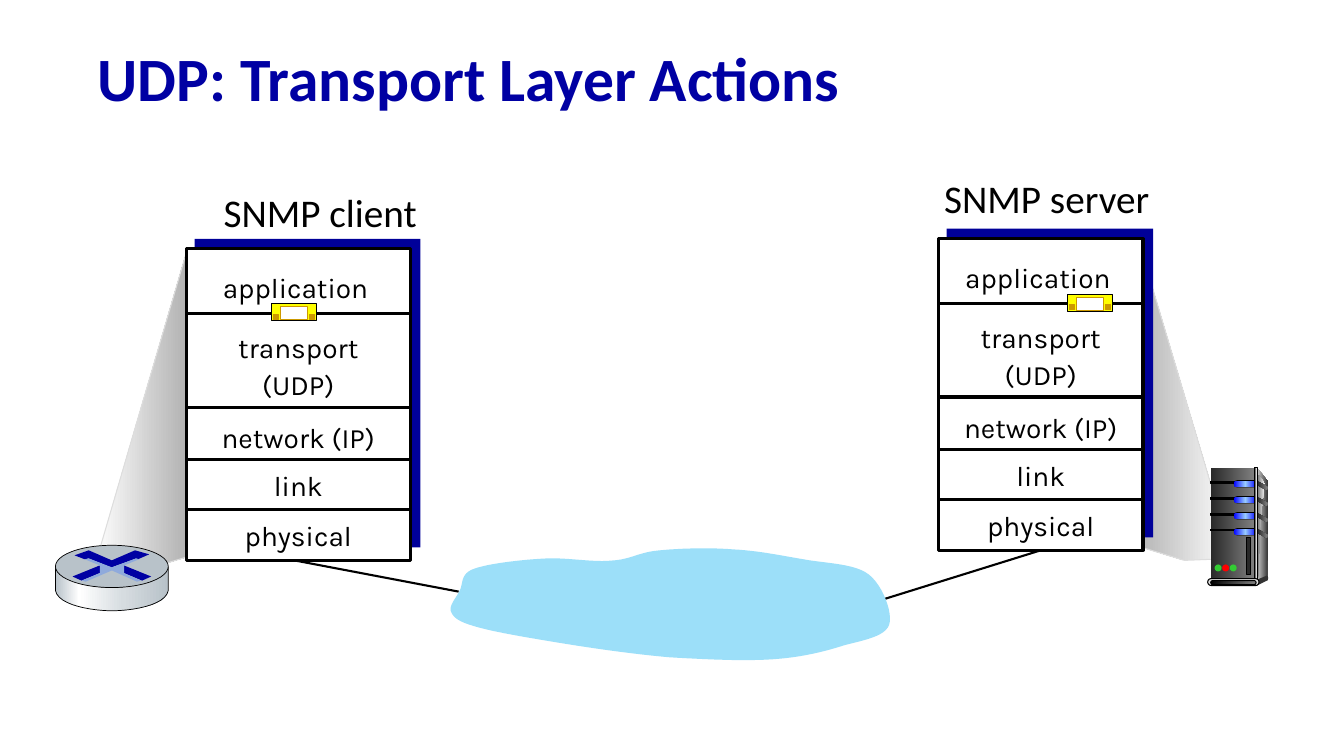
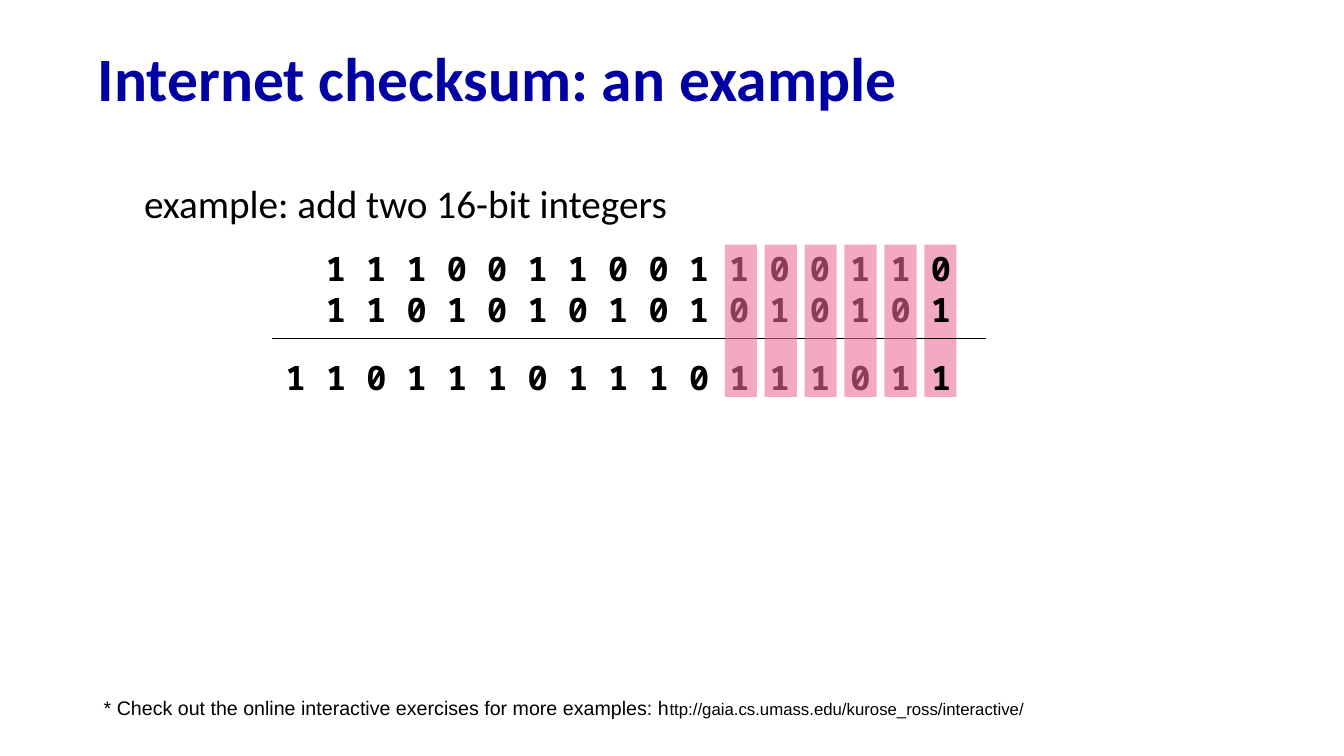
from lxml import etree
from pptx import Presentation
from pptx import util as u
from pptx.dml.color import RGBColor
from pptx.enum import shapes as kinds, text as t
from pptx.oxml.ns import qn

Pt = u.Pt
BLACK = RGBColor(0x00, 0x00, 0x00)
WHITE = RGBColor(0xFF, 0xFF, 0xFF)
TITLE_BLUE = RGBColor(0x00, 0x00, 0xA3)
SHADE_BLUE = RGBColor(0x00, 0x00, 0x99)
CLOUD_BLUE = RGBColor(0x9C, 0xDF, 0xF9)
CROSS_BLUE = RGBColor(0x8F, 0xAA, 0xDC)
LAMP_BLUE = RGBColor(0x00, 0x00, 0xFF)
LAMP_LIGHT = RGBColor(0x99, 0xCC, 0xFF)
STEEL = RGBColor(0xB8, 0xC2, 0xC9)
STEEL_LIGHT = RGBColor(0xD6, 0xDC, 0xE0)
COAL = RGBColor(0x29, 0x29, 0x29)
DARK_GREY = RGBColor(0x33, 0x33, 0x33)
MID_GREY = RGBColor(0x80, 0x80, 0x80)
CONE_GREY = RGBColor(0xB2, 0xB2, 0xB2)
PALE_GREY = RGBColor(0xDD, 0xDD, 0xDD)
NEAR_WHITE = RGBColor(0xF8, 0xF8, 0xF8)
GREEN = RGBColor(0x33, 0xCC, 0x33)
RED = RGBColor(0xFF, 0x00, 0x00)
YELLOW = RGBColor(0xFF, 0xFF, 0x00)
OCHRE = RGBColor(0xCC, 0x99, 0x00)
PINK = RGBColor(0xEB, 0x6B, 0x94)

RECT = kinds.MSO_SHAPE.RECTANGLE
PILL = kinds.MSO_SHAPE.ROUNDED_RECTANGLE
OVAL = kinds.MSO_SHAPE.OVAL
LEFT, CENTER = t.PP_ALIGN.LEFT, t.PP_ALIGN.CENTER

METAL = [(0, COAL), (100, MID_GREY)]
LAMP = [(0, LAMP_BLUE), (50, LAMP_LIGHT), (100, LAMP_BLUE)]

# Layer names: (text, top inside the stack, shift from its middle)
LAYERS = [("application", 9.4, -2), ("transport\n(UDP)", 52.5, 0),
          ("network (IP)", 116.5, 0), ("link", 151, 0), ("physical", 186.5, 0)]
LAYER_RULES = [46, 113, 150.2, 186]

CLOUD = [
    (150.5, 2.2), (136, 3.6, 131, 8.6, 117.4, 9.4), (103.7, 10.8, 86.4, 7.2, 70.6, 7.9),
    (54, 8.6, 29.5, 11.5, 19.4, 15.1), (8.6, 18.7, 11.5, 25.9, 8.6, 31),
    (5.8, 36.7, 0, 42.5, 2.9, 46.8), (5, 51.1, 10, 54, 23.8, 57.6),
    (37.4, 61.2, 63.4, 65.5, 85.7, 69.1), (108, 72.7, 133.9, 76.3, 158.4, 78.5),
    (182.9, 79.9, 211, 81.4, 232.6, 79.9), (253.4, 78.5, 270, 74.2, 283.7, 69.8),
    (298, 66.2, 312.5, 63.4, 315.4, 55.4), (318.2, 46.8, 311, 27.4, 301, 19.4),
    (290.9, 11.5, 270.7, 11.5, 254.9, 8.6), (238.3, 5.8, 221, 2.2, 203.8, 1.4),
    (186.5, 0, 164.9, 0.7, 150.5, 2.2)]

ROUTER_WIDTH = 80.6
ROUTER_BODY = [
    (80.6, 15.8), (80.6, 32.4), (78.5, 43.2, 54, 46.8, 40.3, 46.8),
    (27.4, 46.8, 2.2, 43.2, 0, 32.4), (0, 15.8), (3.6, 25.2, 26.6, 30.2, 40.3, 30.2),
    (53.3, 30.2, 77, 25.2, 80.6, 15.8)]
ROUTER_TOP_ARROWS = [
    (56.9, 3.6), (67, 6.5), (59, 10), (57.6, 9.4), (40, 15.8), (23.8, 9.4), (20.9, 10),
    (13.7, 7.2), (23.8, 3.6), (40.3, 10.8)]
ROUTER_ARM = [(49, 14.4), (68.4, 22.3), (61.9, 25.2), (48.2, 19.4)]
ROUTER_CROSS = [
    (20.9, 10), (23.8, 9.4), (40.3, 15.8), (57.6, 9.4), (59.8, 10), (49, 14.4), (49, 20),
    (61.2, 25.2), (58.3, 26), (40.3, 18), (21.6, 26), (18.7, 25.2), (31.7, 20), (31.7, 14.4)]


# Shared drawing helpers
def paint(shape, fill, line=None, width=0.75):
    """Fill with one colour or with a list of (percent, colour) stops."""
    shape.shadow.inherit = False
    if isinstance(fill, list):
        shape.fill.gradient()
        shape.fill.gradient_angle = 0
        stops = shape.element.spPr.find(qn("a:gradFill")).find(qn("a:gsLst"))
        for stop in list(stops):
            stops.remove(stop)
        for percent, colour in fill:
            stop = etree.SubElement(stops, qn("a:gs"), pos=str(percent * 1000))
            etree.SubElement(stop, qn("a:srgbClr"), val=str(colour))
    else:
        shape.fill.solid()
        shape.fill.fore_color.rgb = fill
    if line is None:
        shape.line.fill.background()
    else:
        shape.line.color.rgb = line
        shape.line.width = Pt(width)
    return shape


def add_box(page, kind, left, top, width, height, fill, line=None, weight=0.75):
    shape = page.shapes.add_shape(kind, Pt(left), Pt(top), Pt(width), Pt(height))
    if kind == PILL:
        shape.adjustments[0] = 0.5
    return paint(shape, fill, line, weight)


def add_outline(page, left, top, steps, fill, line=None, weight=0.75):
    """Closed outline; a step is a corner (x, y) or a cubic curve of six numbers."""
    points = [steps[0]]
    for step in steps[1:]:
        if len(step) == 2:
            points.append(step)
            continue
        start, ctrl_a, ctrl_b, end = points[-1], step[:2], step[2:4], step[4:]
        for part in range(1, 13):
            f = part / 12
            g = 1 - f
            points.append(tuple(
                g ** 3 * a + 3 * g * g * f * b + 3 * g * f * f * c + f ** 3 * d
                for a, b, c, d in zip(start, ctrl_a, ctrl_b, end)))
    spots = [(Pt(left + x), Pt(top + y)) for x, y in points]
    builder = page.shapes.build_freeform(*spots[0], scale=1.0)
    builder.add_line_segments(spots[1:], close=True)
    return paint(builder.convert_to_shape(), fill, line, weight)


def add_line(page, x1, y1, x2, y2, weight):
    line = page.shapes.add_connector(
        kinds.MSO_CONNECTOR.STRAIGHT, Pt(x1), Pt(y1), Pt(x2), Pt(y2))
    line.line.color.rgb = BLACK
    line.line.width = Pt(weight)
    etree.SubElement(line.element.spPr, qn("a:effectLst"))
    return line


def add_text(page, left, top, width, height, words, font, size,
             bold=False, align=LEFT, spacing=None, wrap=True):
    box = page.shapes.add_textbox(Pt(left), Pt(top), Pt(width), Pt(height))
    frame = box.text_frame
    frame.text = words
    frame.word_wrap = wrap
    frame.auto_size = t.MSO_AUTO_SIZE.SHAPE_TO_FIT_TEXT
    for para in frame.paragraphs:
        para.alignment = align
        para.line_spacing = spacing
        style_font(para.font, font, size, BLACK, bold)
    return box


def style_font(font, name, size, colour, bold):
    font.name, font.size, font.bold = name, Pt(size), bold
    font.color.rgb = colour


def add_page(deck, words):
    page = deck.slides.add_slide(deck.slide_layouts[5])
    title = page.shapes.title
    title.left, title.top, title.width, title.height = Pt(62.6), Pt(23), Pt(874), Pt(70.6)
    frame = title.text_frame
    frame.text = words
    frame.auto_size = t.MSO_AUTO_SIZE.NONE
    frame.vertical_anchor = t.MSO_ANCHOR.MIDDLE
    para = frame.paragraphs[0]
    para.alignment = LEFT
    para.line_spacing = 0.9
    style_font(para.font, "Calibri", 44, TITLE_BLUE, True)
    return page


# Parts of the network drawing
def add_stack(page, left, top, width):
    """Protocol stack with its offset blue shade; returns the front rectangle."""
    height = 222.5
    add_box(page, RECT, left + 5.8, top - 7.2, width + 1.4, height - 2, SHADE_BLUE)
    front = add_box(page, RECT, left, top, width, height, WHITE, BLACK, 2.25)
    for rule in LAYER_RULES:
        add_line(page, left + 1, top + rule, left + width, top + rule, 2.25)
    for name, offset, shift in LAYERS:
        add_text(page, left + 8 + shift, top + offset, width - 16, 34, name,
                 "Karla", 20, align=CENTER, spacing=1.1)
    return front


def add_server(page, left, top):
    def part(kind, x, y, width, height, fill, line=None):
        add_box(page, kind, left + x, top + y, width, height, fill, line)

    def outline(steps, fill):
        add_outline(page, left, top, steps, fill)

    # Case
    outline([(36, 0.7), (43.2, 10), (42.5, 77), (34.6, 80.6)],
            [(0, PALE_GREY), (100, DARK_GREY)])
    part(RECT, 2.2, 0, 31.7, 80.6, METAL)
    outline([(36, 5), (36, 5, 37.4, 5.8, 41, 11.5), (36, 41, 36.7, 80, 36, 78.5)],
            [(0, MID_GREY), (100, NEAR_WHITE)])
    # Drive bays with side slots
    for bay in range(4):
        y = 9.6 + 11.4 * bay
        part(RECT, 2.2, y, 18, 1.4, BLACK, BLACK)
        part(PILL, 18.7, y - 0.7, 17.3, 5.2, BLACK)
        part(PILL, 18.7, y, 16.6, 4, LAMP)
        outline([(35.7, y), (42.8, y + 4), (42.5, y + 6.5), (35.7, y + 3)], METAL)
    part(RECT, 33.8, 0, 2.2, 80.6,
         [(0, DARK_GREY), (50, PALE_GREY), (100, DARK_GREY)], BLACK)
    # Foot
    part(OVAL, 41.8, 77, 1.4, 3.6, DARK_GREY)
    outline([(35.3, 80), (35.3, 84.2), (42.5, 80.6), (42.5, 77)], DARK_GREY)
    part(PILL, 0, 79.2, 36.7, 5, PALE_GREY, BLACK)
    part(PILL, 2.2, 80.6, 32.4, 2.9, [(0, BLACK), (100, MID_GREY)], BLACK)
    # Lights and vent
    for index, colour in enumerate((GREEN, RED, GREEN)):
        part(OVAL, 5 + 5.4 * index, 69.1, 5, 5, colour)
    part(RECT, 28, 49.7, 2.9, 26.6, COAL, BLACK)


def add_router(page, left, top):
    sheen = [(0, STEEL), (21, WHITE), (60, STEEL_LIGHT), (100, STEEL)]
    add_outline(page, left, top, ROUTER_BODY, sheen, BLACK, 0.5)
    add_box(page, OVAL, left, top, ROUTER_WIDTH, 30.2, STEEL, BLACK, 0.5)
    mirrored_arm = [(ROUTER_WIDTH - x, y) for x, y in ROUTER_ARM]
    for arrows in (ROUTER_TOP_ARROWS, ROUTER_ARM, mirrored_arm):
        add_outline(page, left, top, arrows, TITLE_BLUE)
    add_outline(page, left, top, ROUTER_CROSS, CROSS_BLUE)


def add_message(page, left, top):
    add_box(page, RECT, left, top, 32.4, 12.4, YELLOW, BLACK)
    add_box(page, RECT, left + 6.5, top + 2.2, 19.4, 9.2, WHITE, OCHRE)
    for x in (1.4, 27.2):
        add_box(page, RECT, left + x, top + 7.6, 3.6, 3.6, OCHRE, OCHRE)


def build_udp_page(deck):
    page = add_page(deck, "UDP: Transport Layer Actions")
    # Server side
    add_outline(page, 810.7, 170.6, [(69.9, 228.3), (2.2, 0), (0, 218.9), (35.3, 229.7)],
                [(0, CONE_GREY), (100, WHITE)], PALE_GREY)
    add_server(page, 862.6, 334.1)
    add_text(page, 667.4, 121, 162.7, 41, "SNMP server", "Calibri", 28, wrap=False)
    add_text(page, 152.6, 131, 154, 41, "SNMP client", "Calibri", 28, wrap=False)
    server_stack = add_stack(page, 670.3, 170.6, 146.2)
    # Network links and cloud
    link = add_line(page, 743.4, 393, 627.8, 429.1, 1.5)
    link.begin_connect(server_stack, 2)
    add_line(page, 203, 398.9, 327.6, 422.6, 1.5)
    add_outline(page, 319.7, 391, CLOUD, CLOUD_BLUE)
    # Client side
    add_outline(page, 67, 177.8, [(0, 229), (66.9, 0), (65.5, 220.4), (34.5, 229.7)],
                [(0, WHITE), (100, CONE_GREY)], PALE_GREY)
    add_stack(page, 133.2, 177.8, 159.8)
    add_router(page, 39.6, 389.5)
    # Messages between application and transport
    add_message(page, 193.7, 216.7)
    add_message(page, 762.5, 210.2)


# Parts of the checksum page
def add_bit_column(page, index):
    column = add_box(page, RECT, 517.7 + 28.5 * index, 174.8, 23, 108.7, PINK)
    colour = column.element.spPr.find(qn("a:solidFill"))[0]
    etree.SubElement(colour, qn("a:alpha"), val="58000")


def add_bits(page, left, top, width, bits):
    add_text(page, left, top, width, 36, " ".join(bits), "Noto Sans Mono", 24,
             bold=True, wrap=False)


def build_checksum_page(deck):
    page = add_page(deck, "Internet checksum: an example")
    add_bit_column(page, 5)
    example = add_text(page, 95.8, 114.5, 612, 60, "example: add two 16-bit integers",
                       "Calibri", 28, spacing=1.3)
    example.text_frame.paragraphs[0].space_before = Pt(10)
    # Footnote
    note = add_text(page, 67, 493.2, 776, 24.5,
                    "* Check out the online interactive exercises for more examples: h",
                    "Arial", 14)
    span = note.text_frame.paragraphs[0].add_run()
    span.text = "ttp://gaia.cs.umass.edu/kurose_ross/interactive/"
    span.font.size = Pt(12)
    # Sum
    add_line(page, 704.2, 241.9, 194.4, 241.9, 1)
    add_bits(page, 225.7, 173.5, 464.4, "1110011001100110")
    add_bits(page, 225.7, 203, 464.4, "1101010101010101")
    add_bits(page, 197, 251.3, 493.2, "11011101110111011")
    # Highlighted columns
    for index in reversed(range(5)):
        add_bit_column(page, index)


def main():
    deck = Presentation()
    deck.slide_width, deck.slide_height = Pt(960), Pt(540)
    build_udp_page(deck)
    build_checksum_page(deck)
    deck.save("out.pptx")


if __name__ == "__main__":
    main()
